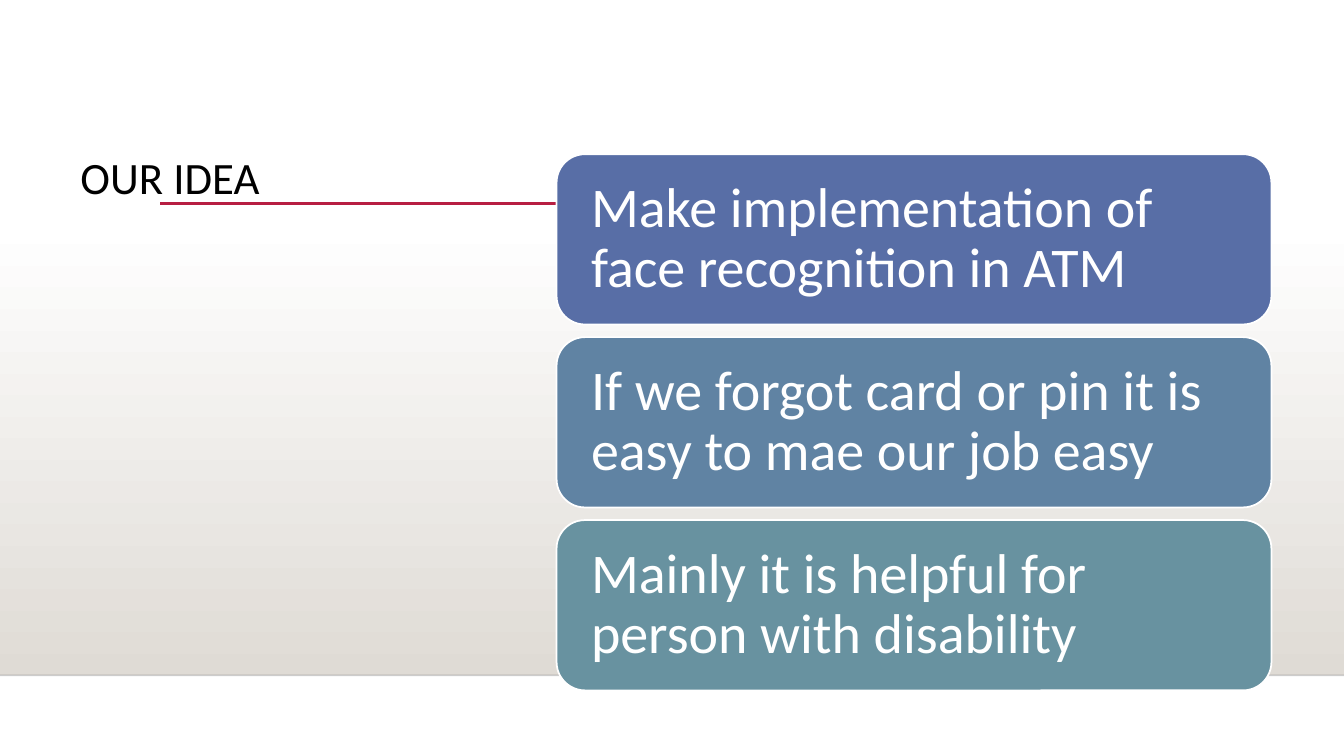
from dataclasses import dataclass

from lxml import etree
from pptx import Presentation
from pptx import util as u
from pptx.dml.color import RGBColor
from pptx.enum import shapes, text
from pptx.oxml import ns


@dataclass(frozen=True)
class Theme:
    font: str = "Calibri"
    title_size: int = 32
    card_size: int = 40
    line_spacing: float = 0.9
    ink: str = "000000"
    paper: str = "FFFFFF"
    floor: str = "DFDBD5"
    floor_edge: str = "000001"
    accent: str = "B71E42"
    cards: tuple = ("586EA6", "6083A3", "6892A0")


class SlideBuilder:
    """Places elements by percentages of the slide's width and height."""

    def __init__(self, deck, theme):
        self.deck = deck
        self.theme = theme
        self.slide = deck.slides.add_slide(deck.slide_layouts[6])

    def x(self, share):
        return round(self.deck.slide_width * share / 100)

    def y(self, share):
        return round(self.deck.slide_height * share / 100)

    def box(self, left, top, width, height):
        return self.x(left), self.y(top), self.x(width), self.y(height)

    def set_text(self, frame, wording, size, color):
        frame.word_wrap = True
        frame.text = wording
        paragraph = frame.paragraphs[0]
        paragraph.alignment = text.PP_ALIGN.LEFT
        paragraph.line_spacing = self.theme.line_spacing
        for run in paragraph.runs:
            run.font.name = self.theme.font
            run.font.size = u.Pt(size)
            run.font.color.rgb = RGBColor.from_string(color)

    def gradient(self, *area):
        panel = self.slide.shapes.add_shape(
            shapes.MSO_SHAPE.RECTANGLE, *self.box(*area))
        panel.shadow.inherit = False
        panel.line.fill.background()
        panel.fill.gradient()
        panel.fill.gradient_angle = 270
        for stop, color in zip(panel.fill.gradient_stops,
                               (self.theme.paper, self.theme.floor)):
            stop.color.rgb = RGBColor.from_string(color)

    def rule(self, start, end, level, color, weight, opacity=100):
        rule = self.slide.shapes.add_connector(
            shapes.MSO_CONNECTOR.STRAIGHT,
            self.x(start), self.y(level), self.x(end), self.y(level))
        rule.line.color.rgb = RGBColor.from_string(color)
        rule.line.width = u.Pt(weight)
        properties = rule._element.spPr
        etree.SubElement(properties, ns.qn("a:effectLst"))
        if opacity < 100:
            shade = properties.find(".//" + ns.qn("a:srgbClr"))
            alpha = etree.SubElement(shade, ns.qn("a:alpha"))
            alpha.set("val", str(opacity * 1000))

    def title(self, wording, *area):
        heading = self.slide.shapes.add_textbox(*self.box(*area))
        self.set_text(heading.text_frame, wording,
                      self.theme.title_size, self.theme.ink)

    def card(self, wording, color, *area):
        card = self.slide.shapes.add_shape(
            shapes.MSO_SHAPE.ROUNDED_RECTANGLE, *self.box(*area))
        card.shadow.inherit = False
        card.fill.solid()
        card.fill.fore_color.rgb = RGBColor.from_string(color)
        card.line.color.rgb = RGBColor.from_string(self.theme.paper)
        card.line.width = u.Pt(1.25)
        frame = card.text_frame
        frame.margin_left = frame.margin_right = u.Inches(0.26)
        frame.margin_top = frame.margin_bottom = u.Inches(0.17)
        frame.vertical_anchor = text.MSO_ANCHOR.MIDDLE
        self.set_text(frame, wording, self.theme.card_size, self.theme.paper)


IDEAS = (
    "Make implementation of face recognition in ATM",
    "If we forgot card or pin it is easy to mae our job easy",
    "Mainly it is helpful for person with disability",
)
CARD_TOP, CARD_PITCH, CARD_HEIGHT = 20.4, 24.2, 22.53


def main():
    deck = Presentation()
    deck.slide_width, deck.slide_height = u.Inches(13.33), u.Inches(7.5)
    theme = Theme()
    page = SlideBuilder(deck, theme)

    # Backdrop
    page.gradient(0, 29.47, 100, 59.86)
    page.rule(0, 100, 89.33, theme.floor_edge, 1, opacity=20)

    # Heading with its accent rule
    page.rule(11.93, 90.77, 26.93, theme.accent, 2.5)
    page.title("OUR IDEA", 5.25, 20, 30.16, 57.2)

    # Stack of ideas
    for row, (idea, color) in enumerate(zip(IDEAS, theme.cards)):
        page.card(idea, color, 41.41, CARD_TOP + row * CARD_PITCH,
                  53.19, CARD_HEIGHT)

    deck.save("out.pptx")


if __name__ == "__main__":
    main()
